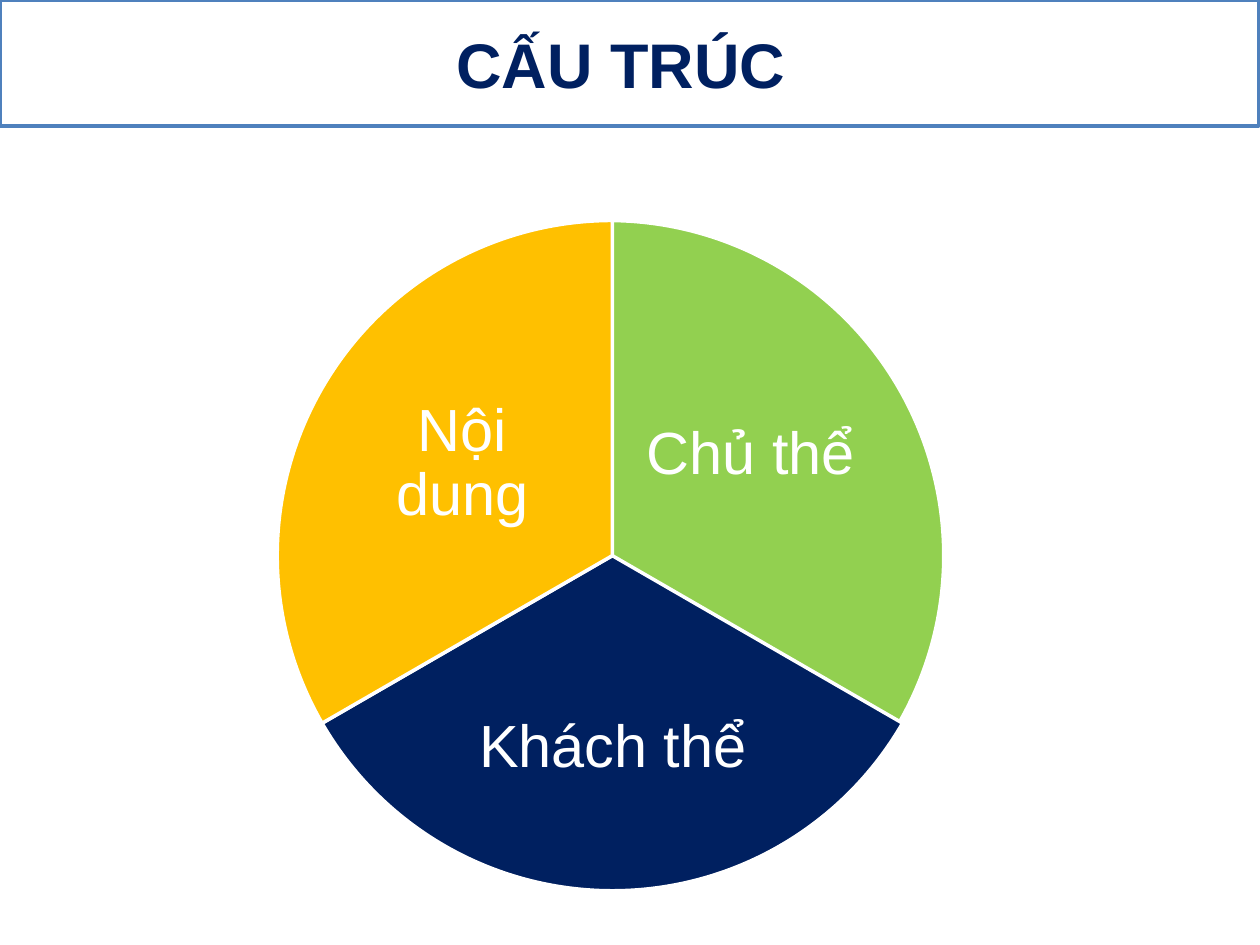
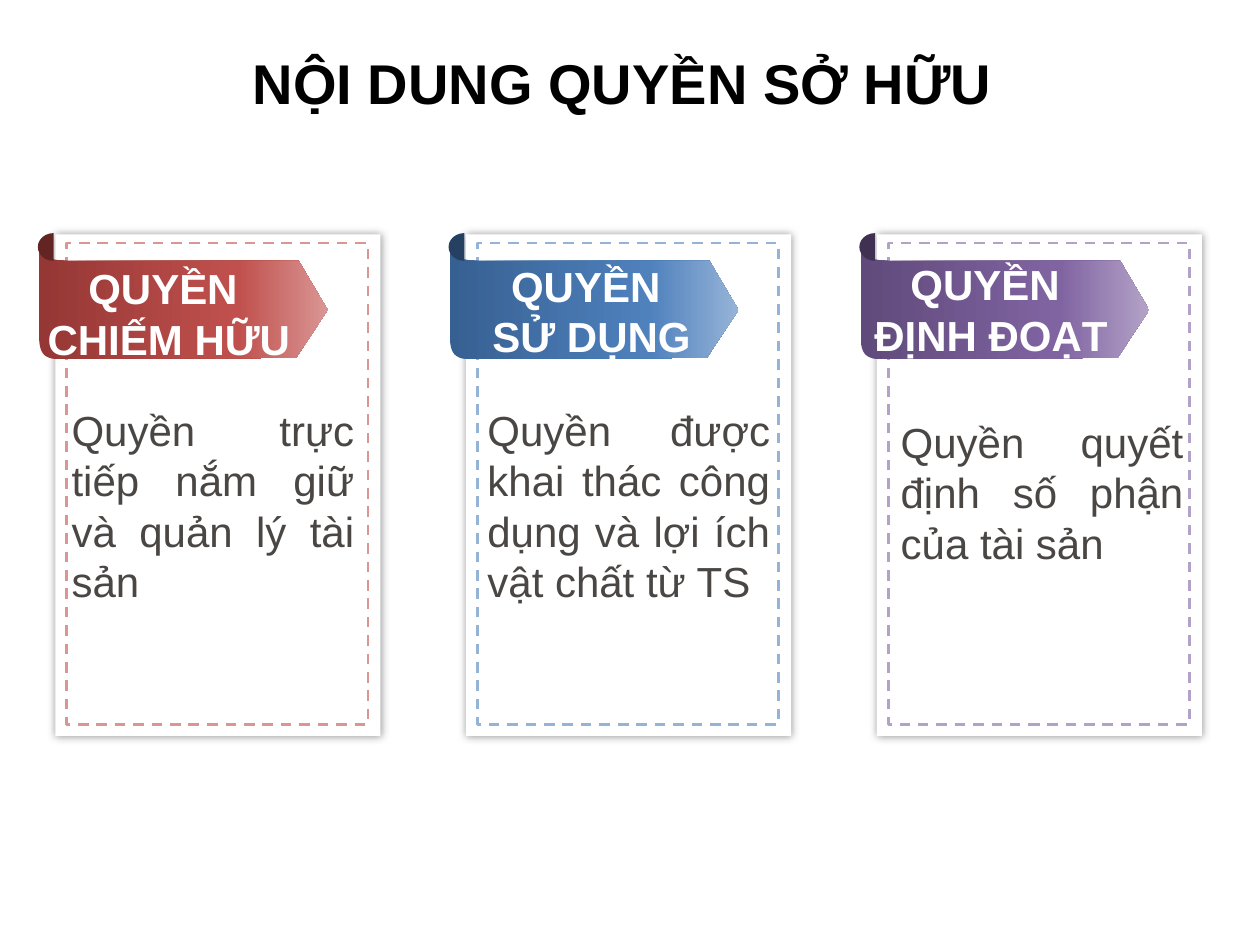
from lxml import etree
from pptx import Presentation
from pptx import util as u
from pptx.dml.color import RGBColor
from pptx.enum import dml, shapes, text
from pptx.oxml.ns import qn

WHITE, BLACK, NAVY = "FFFFFF", "000000", "002060"
BLUE, GREEN, AMBER, BODY_GREY = "4F81BD", "92D050", "FFC000", "4A4644"
CENTER, JUSTIFY = text.PP_ALIGN.CENTER, text.PP_ALIGN.JUSTIFY


def rgb(value):
    return RGBColor.from_string(value)


def curve(start, control_1, control_2, end, steps=12):
    """Points along a cubic curve, without its start."""
    points = []
    for step in range(1, steps + 1):
        t = step / steps
        weights = ((1 - t) ** 3, 3 * t * (1 - t) ** 2, 3 * t * t * (1 - t), t ** 3)
        corners = (start, control_1, control_2, end)
        points.append(tuple(sum(w * corner[axis] for w, corner in zip(weights, corners))
                            for axis in (0, 1)))
    return points


class Deck:
    font = "Arial"

    def __init__(self):
        self.presentation = Presentation()
        self.presentation.slide_width = u.Inches(10)
        self.presentation.slide_height = u.Inches(7.5)
        self.slide = None

    def new_slide(self):
        self.slide = self.presentation.slides.add_slide(self.presentation.slide_layouts[6])

    def paint(self, shape, fill=None, line=None, width=2, dashed=False):
        shape.shadow.inherit = False
        if fill:
            shape.fill.solid()
            shape.fill.fore_color.rgb = rgb(fill)
        else:
            shape.fill.background()
        if line:
            shape.line.color.rgb = rgb(line)
            shape.line.width = u.Pt(width)
            if dashed:
                shape.line.dash_style = dml.MSO_LINE.DASH
        else:
            shape.line.fill.background()
        return shape

    def shape(self, kind, box, **style):
        shape = self.slide.shapes.add_shape(kind, *map(u.Inches, box))
        return self.paint(shape, **style)

    def rectangle(self, box, **style):
        return self.shape(shapes.MSO_SHAPE.RECTANGLE, box, **style)

    def pie(self, box, start, end, **style):
        """Pie from start to end, in degrees clockwise from three o'clock."""
        shape = self.shape(shapes.MSO_SHAPE.PIE, box, **style)
        shape.adjustments[0] = start * 0.6
        shape.adjustments[1] = end * 0.6
        return shape

    def freeform(self, points):
        (left, top), *others = [(u.Inches(x), u.Inches(y)) for x, y in points]
        builder = self.slide.shapes.build_freeform(left, top)
        builder.add_line_segments(others, close=True)
        return self.paint(builder.convert_to_shape())

    def gradient(self, shape, stops):
        shape.fill.gradient()
        shape.fill.gradient_angle = 0
        stop_list = next(shape._element.spPr.iter(qn("a:gsLst")))
        for stop in list(stop_list):
            stop_list.remove(stop)
        for percent, color in stops:
            stop = etree.SubElement(stop_list, qn("a:gs"), pos=str(percent * 1000))
            etree.SubElement(stop, qn("a:srgbClr"), val=color)

    def glow_shadow(self, shape, color=BLACK, alpha=40, blur=5):
        effects = shape._element.spPr.find(qn("a:effectLst"))
        shadow = etree.SubElement(effects, qn("a:outerShdw"), blurRad=str(u.Pt(blur)),
                                  dist="0", dir="0", algn="ctr", rotWithShape="0")
        shade = etree.SubElement(shadow, qn("a:srgbClr"), val=color)
        etree.SubElement(shade, qn("a:alpha"), val=str(alpha * 1000))

    def add_lines(self, shape, lines, size, color, bold=False, align=CENTER, spacing=None):
        frame = shape.text_frame
        frame.vertical_anchor = text.MSO_ANCHOR.MIDDLE
        for index, line in enumerate(lines):
            paragraph = frame.add_paragraph() if index else frame.paragraphs[0]
            paragraph.alignment = align
            if spacing:
                paragraph.line_spacing = spacing
            run = paragraph.add_run()
            run.text = line
            run.font.name = self.font
            run.font.size = u.Pt(size)
            run.font.bold = bold
            run.font.color.rgb = rgb(color)

    def textbox(self, box, lines, size, color, wrap=True, grow=True, inset=None, **style):
        shape = self.slide.shapes.add_textbox(*map(u.Inches, box))
        frame = shape.text_frame
        frame.word_wrap = wrap
        if grow:
            frame.auto_size = text.MSO_AUTO_SIZE.SHAPE_TO_FIT_TEXT
        if inset is not None:
            frame.margin_left = frame.margin_right = u.Inches(inset)
            frame.margin_top = frame.margin_bottom = u.Inches(inset)
        self.add_lines(shape, lines, size, color, **style)


def build_structure(deck):
    deck.new_slide()
    # Title band
    band = deck.rectangle((0, 0, 9.99, 1), fill=WHITE, line=BLUE)
    deck.add_lines(band, ["CẤU TRÚC "], 36, NAVY, bold=True)
    # Three equal sectors, clockwise from the top
    sectors = [
        ("Chủ thể", GREEN, 2.17, (5.06, 2.73, 1.8, 1.77)),
        ("Khách thể", NAVY, 2.2, (3.66, 5.11, 2.41, 1.65)),
        ("Nội dung", AMBER, 2.2, (2.77, 2.8, 1.8, 1.77)),
    ]
    for index, (label, color, left, label_box) in enumerate(sectors):
        start = (270 + 120 * index) % 360
        deck.pie((left, 1.75, 5.32, 5.32), start, (start + 120) % 360, fill=color, line=WHITE)
        deck.textbox(label_box, [label], 34, WHITE, grow=False, inset=0.05, spacing=0.9)


def draw_card(deck, left, dark, shade, base, light):
    # Panel with dashed inner frame
    panel = deck.rectangle((left, 1.86, 2.58, 3.98), fill=WHITE)
    deck.glow_shadow(panel)
    deck.rectangle((left + 0.09, 1.93, 2.39, 3.82), line=light, width=1.5, dashed=True)
    # Arrow ribbon with a curled left end
    outline = [(0.14, 0.92), (2.04, 0.91), (2.29, 0.53), (2.06, 0.14), (0.22, 0.14)]
    outline += curve((0.22, 0.14), (0.14, 0.13), (0.02, 0.15), (0, 0))
    outline.append((0, 0.73))
    outline += curve((0, 0.73), (0, 0.89), (0.05, 0.91), (0.14, 0.92))
    ribbon = deck.freeform([(left - 0.13 + x, 1.93 + y) for x, y in outline])
    deck.gradient(ribbon, [(0, shade), (69, base), (100, light)])
    deck.pie((left - 0.14, 1.85, 0.25, 0.22), 90, 270, fill=dark)


def build_ownership_rights(deck):
    deck.new_slide()
    deck.textbox((1.88, 0.33, 6.12, 0.64), ["NỘI DUNG QUYỀN SỞ HỮU"], 32, BLACK,
                 wrap=False, bold=True)
    # Colours run from dark to light: curl, ribbon start, ribbon, frame
    rights = [
        (("632523", "953735", "C0504D", "D99694"),
         "CHIẾM HỮU", (0.19, 2.03, 2.3, 0.91), True,
         "Quyền trực tiếp nắm giữ và quản lý tài sản", (0.47, 3.15, 2.44, 1.72)),
        (("254061", "376092", BLUE, "95B3D7"),
         "SỬ DỤNG", (3.8, 2.01, 1.79, 0.91), False,
         "Quyền được khai thác công dụng và lợi ích vật chất từ TS", (3.77, 3.15, 2.44, 1.72)),
        (("403152", "604A7B", "8064A2", "B3A2C7"),
         "ĐỊNH ĐOẠT", (6.83, 2, 2.07, 0.91), False,
         "Quyền quyết định số phận của tài sản", (7.05, 3.25, 2.44, 1.31)),
    ]
    for index, (colors, name, name_box, wrap, meaning, meaning_box) in enumerate(rights):
        draw_card(deck, 0.44 + 3.26 * index, *colors)
        deck.textbox(meaning_box, [meaning], 24, BODY_GREY, align=JUSTIFY)
        deck.textbox(name_box, ["QUYỀN ", name], 24, WHITE, wrap=wrap, bold=True)


def main():
    deck = Deck()
    build_structure(deck)
    build_ownership_rights(deck)
    deck.presentation.save("out.pptx")


if __name__ == "__main__":
    main()
